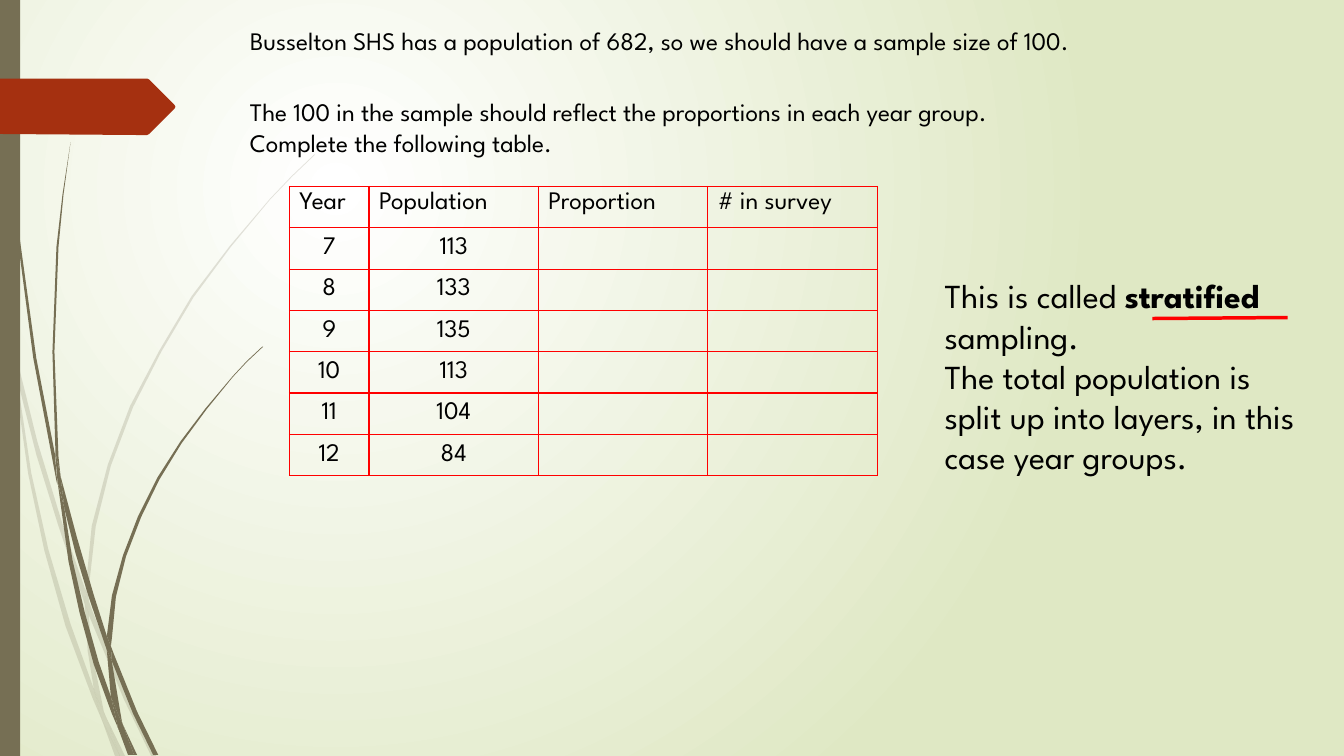
from dataclasses import dataclass

from lxml import etree
from pptx import Presentation
from pptx import util as u
from pptx.dml.color import RGBColor
from pptx.enum import shapes, text
from pptx.oxml import parse_xml
from pptx.oxml.ns import qn

A_NS = 'xmlns:a="http://schemas.openxmlformats.org/drawingml/2006/main"'


@dataclass(frozen=True)
class Theme:
    font: str = "League Spartan"
    body_size: int = 18
    note_size: int = 24
    ink: str = "000000"
    stem: str = "766F54"
    tag: str = "A53010"
    accent: str = "FF0000"
    glow: str = "FFFFFF"
    backdrop: str = "DFE8C4"


@dataclass(frozen=True)
class Outline:
    points: tuple[tuple[float, float], ...]
    color: str
    opacity: int = 100


@dataclass(frozen=True)
class Passage:
    box: tuple[float, float, float, float]
    paragraphs: tuple[tuple[str, ...], ...]
    size: int
    strong: str = ""


THEME = Theme()

# Grass blades: outline points in inches, pale ones behind dark ones
PALE_BLADES = (
    ((.11, 3.5), (.09, 3.22), (0, 2.82), (0, 2.99), (.1, 3.44)),
    ((.58, 5.22), (.84, 5.99), (.85, 5.86), (.62, 5.2), (.37, 4.38), (.14, 3.45),
     (.17, 3.76), (.36, 4.51)),
    ((.92, 6.07), (.88, 5.96), (.88, 6.1), (1.23, 6.94), (1.5, 7.5), (1.55, 7.5),
     (1.27, 6.92)),
    ((1.19, 7.5), (1.24, 7.5), (1.05, 7.11)),
    ((.93, 6.83), (.7, 6.19), (.48, 5.45), (.31, 4.69), (.17, 3.76), (.11, 3.5),
     (.28, 4.7), (.44, 5.46), (.65, 6.21), (.92, 6.93), (1.01, 7.14), (.99, 7.07)),
    ((.84, 5.99), (.87, 6.46), (.93, 6.83), (.96, 6.92), (1.05, 7.11), (1.03, 7.06),
     (.91, 6.46), (.88, 6.1), (.88, 6.08)),
    ((.88, 5.84), (.95, 5.22), (1.1, 4.62), (1.32, 4.04), (1.6, 3.49), (1.92, 2.95),
     (2.29, 2.45), (2.68, 1.98), (2.9, 1.75), (3.12, 1.54), (3.12, 1.53), (2.89, 1.75),
     (2.68, 1.97), (2.28, 2.44), (1.9, 2.94), (1.58, 3.48), (1.29, 4.03), (1.07, 4.61),
     (.91, 5.22), (.85, 5.84), (.85, 5.86), (.88, 5.96)),
    ((1.01, 7.14), (1.14, 7.5), (1.19, 7.5)),
    ((.88, 6.08), (.88, 6.1), (.88, 5.96), (.85, 5.86), (.84, 5.99)),
    ((.96, 6.92), (.93, 6.83), (.99, 7.07), (1.01, 7.14), (1.19, 7.5), (1.05, 7.11)),
)
DARK_BLADES = (
    ((.07, 1.1), (.17, 2.33), (.33, 3.55), (.56, 4.77), (.57, 4.81), (.55, 4.57),
     (.55, 4.53), (.36, 3.55), (.19, 2.32), (.08, 1.09), (.05, .48), (.04, 0), (.03, 0),
     (.04, .48)),
    ((.88, 5.92), (1.06, 6.45), (1.06, 6.31), (.93, 5.9), (.76, 5.32), (.6, 4.72),
     (.64, 5.05), (.75, 5.49)),
    ((1.13, 6.49), (1.1, 6.41), (1.11, 6.56), (1.32, 7.08), (1.52, 7.49), (1.57, 7.49),
     (1.36, 7.06)),
    ((1.1, 6.91), (.98, 6.57), (.84, 6.07), (.72, 5.56), (.64, 5.05), (.57, 4.77),
     (.68, 5.57), (.79, 6.08), (.93, 6.59), (1.11, 7.08), (1.17, 7.22), (1.16, 7.17)),
    ((.6, 4.72), (.58, 4.53), (.54, 3.49), (.58, 2.45), (.63, 1.93), (.7, 1.41),
     (.62, 1.93), (.56, 2.45), (.52, 3.49), (.55, 4.49)),
    ((1.33, 7.49), (1.36, 7.49), (1.22, 7.19)),
    ((.57, 4.77), (.64, 5.05), (.6, 4.72), (.55, 4.49), (.55, 4.53)),
    ((1.11, 6.33), (1.15, 5.92), (1.25, 5.52), (1.4, 5.13), (1.58, 4.76), (1.8, 4.4),
     (2.05, 4.06), (2.31, 3.74), (2.45, 3.59), (2.61, 3.44), (2.6, 3.44), (2.45, 3.58),
     (2.31, 3.73), (2.04, 4.05), (1.79, 4.38), (1.56, 4.74), (1.37, 5.12), (1.22, 5.51),
     (1.11, 5.91), (1.06, 6.31), (1.1, 6.41)),
    ((1.17, 7.22), (1.27, 7.49), (1.31, 7.49)),
    ((1.06, 6.45), (1.1, 6.91), (1.16, 7.06), (1.22, 7.19), (1.21, 7.16), (1.11, 6.56),
     (1.09, 6.51)),
    ((1.06, 6.45), (1.09, 6.51), (1.11, 6.56), (1.1, 6.41), (1.06, 6.31)),
    ((1.16, 7.06), (1.1, 6.91), (1.16, 7.17), (1.17, 7.22), (1.3, 7.49), (1.33, 7.49),
     (1.22, 7.19)),
)
TAG = ((1.73, 1.08), (1.48, 1.33), (1.46, 1.34), (1.36, 1.34), (0, 1.33), (0, .78),
       (1.46, .78), (1.48, .79), (1.73, 1.04), (1.74, 1.06))

HEADLINE = Passage((2.38, .2, 9.53, .71), ((
    "Busselton SHS has a population of 682, so we should have a sample size of 100.",),),
    THEME.body_size)
TASK = Passage((2.38, .91, 9.35, .71), (
    ("The 100 in the sample should reflect the proportions in each year group.",),
    ("Complete the following table.",)), THEME.body_size)
STRATIFIED = Passage((9.27, 2.68, 3.69, 2.52), (
    ("This is called ", "stratified", " sampling."),
    ("The total population is split up into layers, in this case year groups.",)),
    THEME.note_size, "stratified")

HEADINGS = ("Year", "Population", "Proportion", "# in survey")
POPULATION = {7: 113, 8: 133, 9: 135, 10: 113, 11: 104, 12: 84}
COLUMN_WIDTHS = (.79, 1.68, 1.68, 1.68)
ROW_HEIGHT = .41


def rgb(color: str) -> RGBColor:
    return RGBColor.from_string(color)


def set_font(font, size: int, bold: bool = False) -> None:
    font.name, font.size, font.bold = THEME.font, u.Pt(size), bold
    font.color.rgb = rgb(THEME.ink)


def paint(shape, color: str, opacity: int = 100) -> None:
    shape.shadow.inherit = False
    shape.line.fill.background()
    shape.fill.solid()
    shape.fill.fore_color.rgb = rgb(color)
    if opacity < 100:
        srgb = shape.fill._xPr.find(".//" + qn("a:srgbClr"))
        etree.SubElement(srgb, qn("a:alpha")).set("val", str(opacity * 1000))


def draw_outline(slide, outline: Outline) -> None:
    start, *rest = [(u.Inches(x), u.Inches(y)) for x, y in outline.points]
    builder = slide.shapes.build_freeform(*start)
    builder.add_line_segments(rest, close=True)
    paint(builder.convert_to_shape(), outline.color, outline.opacity)


def write_passage(holder, passage: Passage) -> None:
    holder.left, holder.top, holder.width, holder.height = map(u.Inches, passage.box)
    frame = holder.text_frame
    frame.word_wrap = True
    frame.auto_size = text.MSO_AUTO_SIZE.NONE
    frame.vertical_anchor = text.MSO_ANCHOR.TOP
    for index, pieces in enumerate(passage.paragraphs):
        paragraph = frame.add_paragraph() if index else frame.paragraphs[0]
        paragraph.alignment = text.PP_ALIGN.LEFT
        for piece in pieces:
            run = paragraph.add_run()
            run.text = piece
            set_font(run.font, passage.size, piece == passage.strong)


def draw_backdrop(slide) -> None:
    slide.background.fill.solid()
    properties = slide.background._cSld.bg.bgPr
    stops = "".join(f'<a:gs pos="{position}"><a:srgbClr val="{color}"/></a:gs>'
                    for position, color in ((0, THEME.glow), (100000, THEME.backdrop)))
    gradient = parse_xml(
        f'<a:gradFill {A_NS} rotWithShape="1"><a:gsLst>{stops}</a:gsLst><a:path path="circle">'
        '<a:fillToRect l="50000" t="50000" r="100000" b="100000"/></a:path></a:gradFill>')
    properties.replace(properties.find(qn("a:solidFill")), gradient)


def format_cell(cell, content: str, heading: bool) -> None:
    cell.text = content
    paragraph = cell.text_frame.paragraphs[0]
    set_font(paragraph.font, THEME.body_size)
    for run in paragraph.runs:
        set_font(run.font, THEME.body_size)
    if not heading:
        paragraph.alignment = text.PP_ALIGN.CENTER
        cell.vertical_anchor = text.MSO_ANCHOR.MIDDLE
    properties = cell._tc.get_or_add_tcPr()
    for side in ("lnL", "lnR", "lnT", "lnB"):
        properties.append(parse_xml(
            f'<a:{side} {A_NS} w="{u.Pt(1)}"><a:solidFill><a:srgbClr val="{THEME.accent}"/>'
            f'</a:solidFill></a:{side}>'))
    cell.fill.background()


def draw_year_table(slide) -> None:
    rows = [HEADINGS] + [(str(year), str(count), "", "") for year, count in POPULATION.items()]
    table = slide.shapes.add_table(
        len(rows), len(HEADINGS), u.Inches(2.87), u.Inches(1.85),
        u.Inches(sum(COLUMN_WIDTHS)), u.Inches(ROW_HEIGHT * len(rows))).table
    table.first_row = table.horz_banding = False
    for column, width in zip(table.columns, COLUMN_WIDTHS):
        column.width = u.Inches(width)
    for r, contents in enumerate(rows):
        table.rows[r].height = u.Inches(ROW_HEIGHT)
        for c, content in enumerate(contents):
            format_cell(table.cell(r, c), content, r == 0)


def draw_underline(slide) -> None:
    underline = slide.shapes.add_connector(
        shapes.MSO_CONNECTOR.STRAIGHT, *map(u.Inches, (11.43, 3.16, 12.77, 3.15)))
    underline.line.color.rgb = rgb(THEME.accent)
    underline.line.width = u.Pt(2.5)
    etree.SubElement(underline._element.spPr, qn("a:effectLst"))


def main() -> None:
    deck = Presentation()
    deck.slide_width, deck.slide_height = u.Inches(13.33), u.Inches(7.5)
    slide = deck.slides.add_slide(deck.slide_layouts[5])

    # Backdrop and decoration
    draw_backdrop(slide)
    for points in PALE_BLADES:
        draw_outline(slide, Outline(points, THEME.stem, 20))
    for points in DARK_BLADES:
        draw_outline(slide, Outline(points, THEME.stem))
    edge_bar = slide.shapes.add_shape(
        shapes.MSO_SHAPE.RECTANGLE, 0, 0, u.Inches(.2), deck.slide_height)
    paint(edge_bar, THEME.stem)
    draw_outline(slide, Outline(TAG, THEME.tag))

    # Text, table and underline
    write_passage(slide.shapes.title, HEADLINE)
    write_passage(slide.shapes.add_textbox(0, 0, 0, 0), TASK)
    draw_year_table(slide)
    write_passage(slide.shapes.add_textbox(0, 0, 0, 0), STRATIFIED)
    draw_underline(slide)
    deck.save("out.pptx")


if __name__ == "__main__":
    main()
